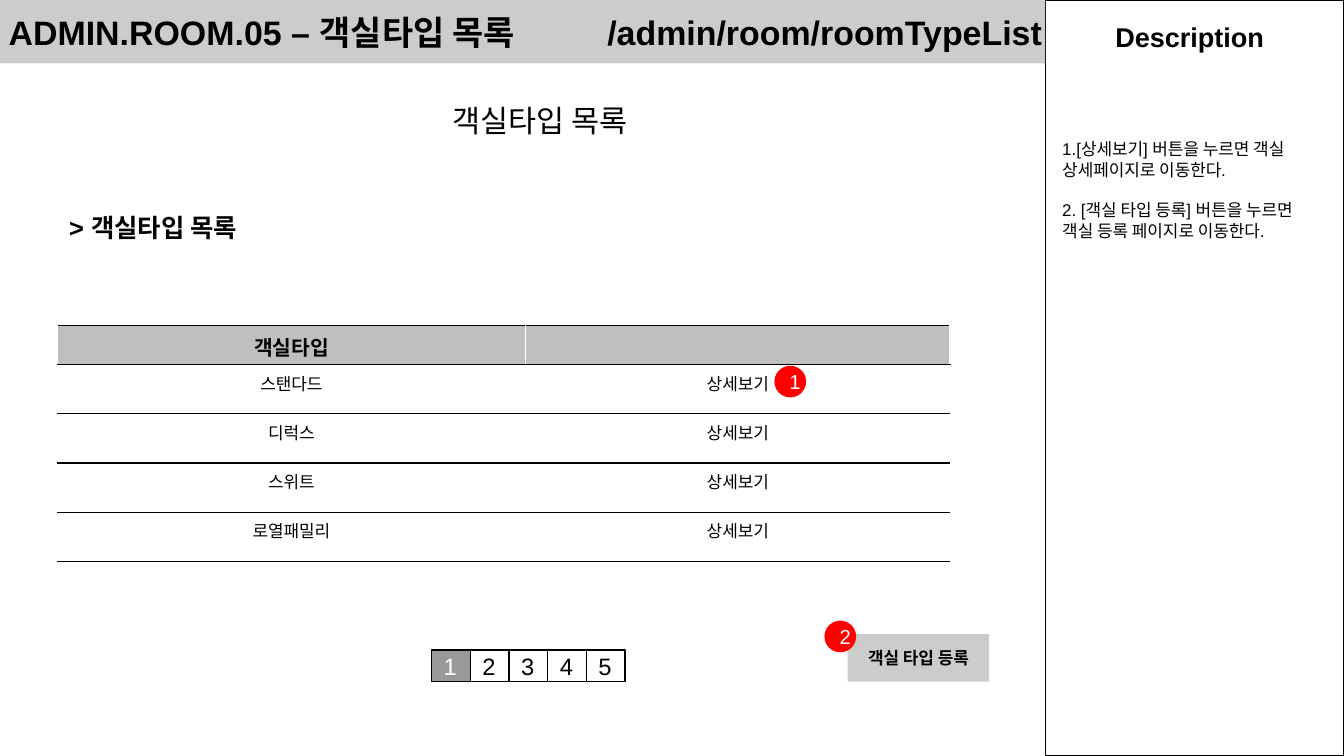
from lxml.etree import SubElement
from pptx import Presentation
from pptx.dml.color import RGBColor
from pptx.enum.shapes import MSO_SHAPE
from pptx.enum.text import MSO_ANCHOR, MSO_AUTO_SIZE, PP_ALIGN
from pptx.oxml.ns import qn
from pptx.util import Emu, Inches, Pt

BLACK = RGBColor(0x00, 0x00, 0x00)
WHITE = RGBColor(0xFF, 0xFF, 0xFF)
LIGHT_GRAY = RGBColor(0xCC, 0xCC, 0xCC)
HEADER_GRAY = RGBColor(0xBF, 0xBF, 0xBF)
ACTIVE_GRAY = RGBColor(0x99, 0x99, 0x99)
RED = RGBColor(0xFF, 0x00, 0x00)

MAIN_WIDTH = 77.77
PANEL_LEFT = 78.13
TABLE_LEFT = 4.26
PAGE_WIDTH = 2.88
SMALL_HEIGHT = 4.19
ROOM_TYPES = ["스탠다드", "디럭스", "스위트", "로열패밀리"]
NOTES = [
    "1.[상세보기] 버튼을 누르면 객실 상세페이지로 이동한다.",
    "2. [객실 타입 등록] 버튼을 누르면 객실 등록 페이지로 이동한다.",
]


class Wireframe:
    """Draws on one page; every length is a percentage of the page size."""

    font_name = "Arial"
    line_width = Pt(0.75)

    def __init__(self, deck):
        self.width, self.height = deck.slide_width, deck.slide_height
        self.page = deck.slides.add_slide(deck.slide_layouts[1])
        self.shapes = self.page.shapes

    def across(self, share):
        return Emu(round(self.width * share / 100))

    def down(self, share):
        return Emu(round(self.height * share / 100))

    def area(self, left, top, width, height):
        return self.across(left), self.down(top), self.across(width), self.down(height)

    def format_text(self, frame, size, color=BLACK, bold=False, align=PP_ALIGN.LEFT):
        for para in frame.paragraphs:
            para.alignment = align
            for span in para.runs:
                span.font.name = self.font_name
                span.font.size = Pt(size)
                span.font.bold = bold
                span.font.color.rgb = color
            if not para.runs:
                SubElement(para._p, qn("a:endParaRPr"), sz=str(size * 100))

    def set_insets(self, frame, side, edge):
        frame.margin_left = frame.margin_right = Inches(side)
        frame.margin_top = frame.margin_bottom = Inches(edge)

    def label(self, text, area, size, bold=False, align=PP_ALIGN.CENTER):
        box = self.shapes.add_textbox(*self.area(*area))
        box.text_frame.word_wrap = True
        box.text_frame.text = text
        self.format_text(box.text_frame, size, bold=bold, align=align)

    def block(self, area, fill, kind=MSO_SHAPE.RECTANGLE, outlined=False):
        shape = self.shapes.add_shape(kind, *self.area(*area))
        shape.shadow.inherit = False
        if fill is None:
            shape.fill.background()
        else:
            shape.fill.solid()
            shape.fill.fore_color.rgb = fill
        if outlined:
            shape.line.color.rgb = BLACK
            shape.line.width = self.line_width
        else:
            shape.line.fill.background()
        return shape

    def side_panel(self, area):
        panel = self.block(area, WHITE, outlined=True)
        self.shapes._spTree.insert(2, panel._element)  # behind the placeholders

    def button(self, text, area):
        shape = self.block(area, LIGHT_GRAY)
        shape.text_frame.text = text
        self.format_text(shape.text_frame, 10, bold=True, align=PP_ALIGN.CENTER)

    def badge(self, number, left, top):
        shape = self.block((left, top, 2.36, SMALL_HEIGHT), RED, MSO_SHAPE.OVAL)
        shape.text_frame.text = str(number)
        self.format_text(shape.text_frame, 12, WHITE, align=PP_ALIGN.CENTER)

    def pager(self, left, top, count, active=1):
        for number in range(1, count + 1):
            fill, color = (ACTIVE_GRAY, WHITE) if number == active else (None, BLACK)
            cell_left = left + (number - 1) * PAGE_WIDTH
            shape = self.block((cell_left, top, PAGE_WIDTH, SMALL_HEIGHT), fill, outlined=True)
            shape.text_frame.text = str(number)
            self.set_insets(shape.text_frame, 0.1, 0.1)
            self.format_text(shape.text_frame, 14, color)

    def place(self, holder, area):
        holder.left, holder.top, holder.width, holder.height = self.area(*area)
        holder.text_frame.auto_size = MSO_AUTO_SIZE.NONE
        holder.text_frame.word_wrap = True

    def header(self, name, address, area):
        """Fill the title bar, with the address at a tab stop."""
        title = self.shapes.title
        self.place(title, area)
        title.fill.solid()
        title.fill.fore_color.rgb = LIGHT_GRAY
        frame = title.text_frame
        frame.text = f"{name}\t{address}"
        frame.vertical_anchor = MSO_ANCHOR.MIDDLE
        self.set_insets(frame, 0, 0)
        frame.margin_left = Inches(0.07)
        self.format_text(frame, 20, bold=True)
        stops = SubElement(frame.paragraphs[0]._p.get_or_add_pPr(), qn("a:tabLst"))
        SubElement(stops, qn("a:tab"), pos=str(Inches(4.91)), algn="l")

    def notes(self, items, area):
        body = self.page.placeholders[1]
        self.place(body, area)
        frame = body.text_frame
        frame.text = "\n".join(items)
        frame.vertical_anchor = MSO_ANCHOR.TOP
        self.format_text(frame, 10)
        for para in frame.paragraphs:
            para.space_before = Pt(0)
            para.space_after = Pt(12)
            properties = para._p.get_or_add_pPr()
            properties.set("marL", "0")
            properties.set("indent", "0")
            SubElement(properties, qn("a:buNone"))

    def border(self, cell, sides, color):
        """Draw the named sides (L, R, T, B) of a cell; no colour means no line."""
        for side in sides:
            line = SubElement(cell._tc.get_or_add_tcPr(), qn(f"a:ln{side}"), w=str(Pt(0.96)))
            if color is None:
                SubElement(line, qn("a:noFill"))
            else:
                fill = SubElement(line, qn("a:solidFill"))
                SubElement(fill, qn("a:srgbClr"), val=str(color))

    def table(self, rows, left, top, columns, heights):
        area = self.area(left, top, sum(columns), sum(heights))
        table = self.shapes.add_table(len(rows), len(columns), *area).table
        table.first_row = table.horz_banding = False
        for column, share in zip(table.columns, columns):
            column.width = self.across(share)
        for index, (row, share, texts) in enumerate(zip(table.rows, heights, rows)):
            row.height = self.down(share)
            is_header = index == 0
            for cell, text in zip(row.cells, texts):
                cell.text = text
                self.format_text(cell.text_frame, 12 if is_header else 10,
                                 bold=is_header, align=PP_ALIGN.CENTER)
                self.border(cell, "LR", WHITE if is_header else None)
                self.border(cell, "TB", BLACK)
                if is_header:
                    cell.fill.solid()
                    cell.fill.fore_color.rgb = HEADER_GRAY
                else:
                    cell.fill.background()


def main():
    deck = Presentation()
    deck.slide_width, deck.slide_height = Inches(11.02), Inches(6.2)
    page = Wireframe(deck)

    page.header("ADMIN.ROOM.05 – 객실타입 목록", "/admin/room/roomTypeList",
                (0, 0, MAIN_WIDTH, 8.39))
    page.side_panel((MAIN_WIDTH, 0, 100 - MAIN_WIDTH, 100))
    page.label("Description", (PANEL_LEFT, 1.94, 20.78, 6.29), 16, bold=True)
    page.notes(NOTES, (PANEL_LEFT, 17.58, 21.14, 82.42))

    page.label("객실타입 목록", (29.31, 12.74, 21.78, 6.13), 18)
    page.label("> 객실타입 목록", (TABLE_LEFT, 27.26, 20.69, 5.48), 15,
               bold=True, align=PP_ALIGN.LEFT)
    rows = [("객실타입", "")] + [(room, "상세보기") for room in ROOM_TYPES]
    page.table(rows, TABLE_LEFT, 43.06, [34.85, 31.58], [5.16] + [6.52] * len(ROOM_TYPES))
    page.badge(1, 57.62, 48.39)

    page.pager(32.12, 85.97, 5)
    page.button("객실 타입 등록", (63.07, 83.87, 10.53, 6.29))
    page.badge(2, 61.34, 82.1)
    deck.save("out.pptx")


if __name__ == "__main__":
    main()
